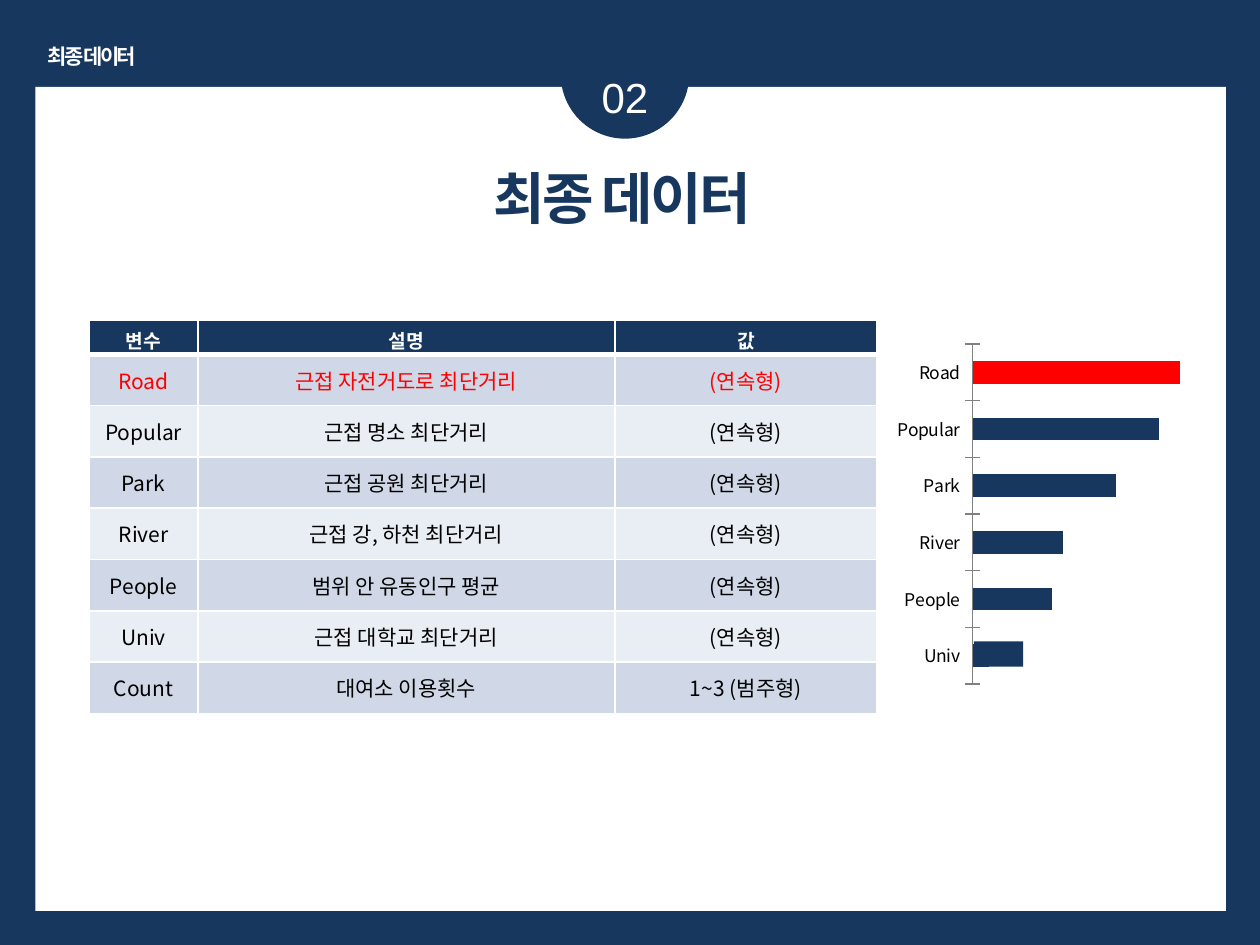
from dataclasses import dataclass
from typing import NamedTuple

from lxml.etree import SubElement
from pptx import Presentation
from pptx.chart.data import CategoryChartData
from pptx.dml.color import RGBColor
from pptx.enum.chart import XL_CHART_TYPE, XL_TICK_MARK
from pptx.enum.shapes import MSO_SHAPE
from pptx.enum.text import MSO_ANCHOR, PP_ALIGN
from pptx.oxml.ns import qn
from pptx.util import Inches, Pt

WIDE, HIGH = Inches(10), Inches(7.5)


@dataclass(frozen=True)
class Theme:
    navy: str = "17375E"
    white: str = "FFFFFF"
    black: str = "000000"
    red: str = "FF0000"
    grey: str = "808080"
    bands: tuple[str, str] = ("D0D8E8", "E9EDF4")
    latin: str = "Arial"
    korean: str = "Noto Sans CJK KR"
    title: int = 32
    number: int = 24
    body: int = 12
    head: int = 11
    chart: int = 10


class Box(NamedTuple):
    """Left, top, width and height as percent of the slide."""
    x: float
    y: float
    w: float
    h: float

    def emu(self) -> tuple[int, int, int, int]:
        return across(self.x), down(self.y), across(self.w), down(self.h)


class Style(NamedTuple):
    size: int
    color: str
    bold: bool = False
    font: str = "Arial"
    space: int = 0


class Row(NamedTuple):
    name: str
    note: str
    value: str = "(연속형)"


class Bar(NamedTuple):
    name: str
    value: int


THEME = Theme()
PANEL = Box(2.8, 9.2, 94.5, 87.2)
DISC = Box(44.5, 1.07, 10.2, 13.6)
LABEL = Box(2.4, 4, 9.8, 4)
NUMBER = Box(43.7, 6.93, 11.8, 6.67)
TITLE = Box(25.8, 16.67, 47.2, 8.53)
TABLE = Box(7.1, 33.87, 62.5, 41.6)
CHART = Box(69.5, 34.4, 26.6, 40)
UNIV = Box(77.3, 67.87, 3.9, 2.67)
COLUMNS = (8.6, 33.1, 20.8)
HEAD_ROW = 3.6
KEY = "Road"

ROWS = [
    Row("변수", "설명", "값"),
    Row(KEY, "근접 자전거도로 최단거리"),
    Row("Popular", "근접 명소 최단거리"),
    Row("Park", "근접 공원 최단거리"),
    Row("River", "근접 강, 하천 최단거리"),
    Row("People", "범위 안 유동인구 평균"),
    Row("Univ", "근접 대학교 최단거리"),
    Row("Count", "대여소 이용횟수", "1~3 (범주형)"),
]
BARS = [Bar("Univ", 64), Bar("People", 76), Bar("River", 78),
        Bar("Park", 88), Bar("Popular", 96), Bar(KEY, 100)]


def across(share: float) -> int:
    return round(WIDE * share / 100)


def down(share: float) -> int:
    return round(HIGH * share / 100)


def paint(fill, color: str) -> None:
    fill.solid()
    fill.fore_color.rgb = RGBColor.from_string(color)


def write(frame, text: str, style: Style) -> None:
    frame.text = text
    para = frame.paragraphs[0]
    para.alignment = PP_ALIGN.CENTER
    font = para.font
    font.name, font.size, font.bold = style.font, Pt(style.size), style.bold
    paint(font.fill, style.color)
    props = para._p.pPr.find(qn("a:defRPr"))
    props.set("spc", str(style.space))
    SubElement(props, qn("a:ea")).set("typeface", THEME.korean)


def add_form(slide, kind: MSO_SHAPE, box: Box, color: str) -> None:
    form = slide.shapes.add_shape(kind, *box.emu())
    form.shadow.inherit = False
    paint(form.fill, color)
    form.line.fill.background()


def add_text(slide, box: Box, text: str, style: Style, wrap: bool) -> None:
    frame = slide.shapes.add_textbox(*box.emu()).text_frame
    frame.word_wrap = wrap
    write(frame, text, style)


def add_title(slide, text: str) -> None:
    title = slide.shapes.title
    title.left, title.top, title.width, title.height = TITLE.emu()
    title.text_frame.vertical_anchor = MSO_ANCHOR.TOP
    write(title.text_frame, text,
          Style(THEME.title, THEME.navy, True, THEME.latin, -150))
    slide.shapes._spTree.append(title._element)  # in front of the panel


def edge(cell, top: int, base: int) -> None:
    """Draw white cell borders; top and base are widths in points."""
    props = cell._tc.get_or_add_tcPr()
    for side, width in (("L", 1), ("R", 1), ("T", top), ("B", base)):
        line = SubElement(props, qn(f"a:ln{side}"), w=str(Pt(width)))
        fill = SubElement(line, qn("a:solidFill"))
        SubElement(fill, qn("a:srgbClr"), val=THEME.white)


def add_grid(slide) -> None:
    grid = slide.shapes.add_table(len(ROWS), len(COLUMNS), *TABLE.emu()).table
    for column, share in zip(grid.columns, COLUMNS):
        column.width = across(share)
    body = (TABLE.h - HEAD_ROW) / (len(ROWS) - 1)
    for r, row in enumerate(ROWS):
        head = r == 0
        grid.rows[r].height = down(HEAD_ROW if head else body)
        ink = THEME.red if row.name == KEY else THEME.black
        style = (Style(THEME.head, THEME.white, True, THEME.korean) if head
                 else Style(THEME.body, ink, False, THEME.korean))
        for c, text in enumerate(row):
            cell = grid.cell(r, c)
            edge(cell, 3 if r == 1 else 1, 3 if head else 1)
            paint(cell.fill, THEME.navy if head else THEME.bands[(r - 1) % 2])
            cell.vertical_anchor = MSO_ANCHOR.MIDDLE
            if head:
                cell.margin_top, cell.margin_bottom = Inches(0.05), 0
            write(cell.text_frame, text, style)


def place(chart, x: float, y: float, w: float, h: float) -> None:
    """Fix the inner plot area, in shares of the chart."""
    area = chart._chartSpace.chart.plotArea
    layout = area.find(qn("c:layout"))
    if layout is None:
        layout = SubElement(area, qn("c:layout"))
        area.insert(0, layout)
    manual = SubElement(layout, qn("c:manualLayout"))
    for tag, val in (("layoutTarget", "inner"), ("xMode", "edge"),
                     ("yMode", "edge"), ("x", x), ("y", y), ("w", w), ("h", h)):
        SubElement(manual, qn(f"c:{tag}")).set("val", str(val))


def add_bars(slide) -> None:
    data = CategoryChartData()
    data.categories = [bar.name for bar in BARS]
    data.add_series("Series 1", [bar.value for bar in BARS])
    chart = slide.shapes.add_chart(
        XL_CHART_TYPE.BAR_CLUSTERED, *CHART.emu(), data).chart
    chart.has_legend = chart.has_title = False
    chart.font.name, chart.font.size = THEME.korean, Pt(THEME.chart)
    paint(chart.font.fill, THEME.black)
    scale, names = chart.value_axis, chart.category_axis
    scale.minimum_scale, scale.maximum_scale = 61, 102
    scale.has_major_gridlines = scale.visible = False
    names.major_tick_mark = XL_TICK_MARK.CROSS
    paint(names.format.line.fill, THEME.grey)
    plot = chart.plots[0]
    plot.gap_width, plot.vary_by_categories = 150, False
    series = plot.series[0]
    paint(series.format.fill, THEME.navy)
    key = [bar.name for bar in BARS].index(KEY)
    paint(series.points[key].format.fill, THEME.red)
    place(chart, 0.29, 0.05, 0.65, 0.9)


def main() -> None:
    deck = Presentation()
    deck.slide_width, deck.slide_height = WIDE, HIGH
    slide = deck.slides.add_slide(deck.slide_layouts[5])
    paint(slide.background.fill, THEME.navy)
    add_form(slide, MSO_SHAPE.RECTANGLE, PANEL, THEME.white)
    add_form(slide, MSO_SHAPE.OVAL, DISC, THEME.navy)
    add_text(slide, LABEL, "최종 데이터",
             Style(THEME.body, THEME.white, True, space=-150), False)
    add_text(slide, NUMBER, "02", Style(THEME.number, THEME.white), True)
    add_title(slide, "최종 데이터")
    add_grid(slide)
    add_bars(slide)
    add_form(slide, MSO_SHAPE.RECTANGLE, UNIV, THEME.navy)
    deck.save("out.pptx")


if __name__ == "__main__":
    main()
